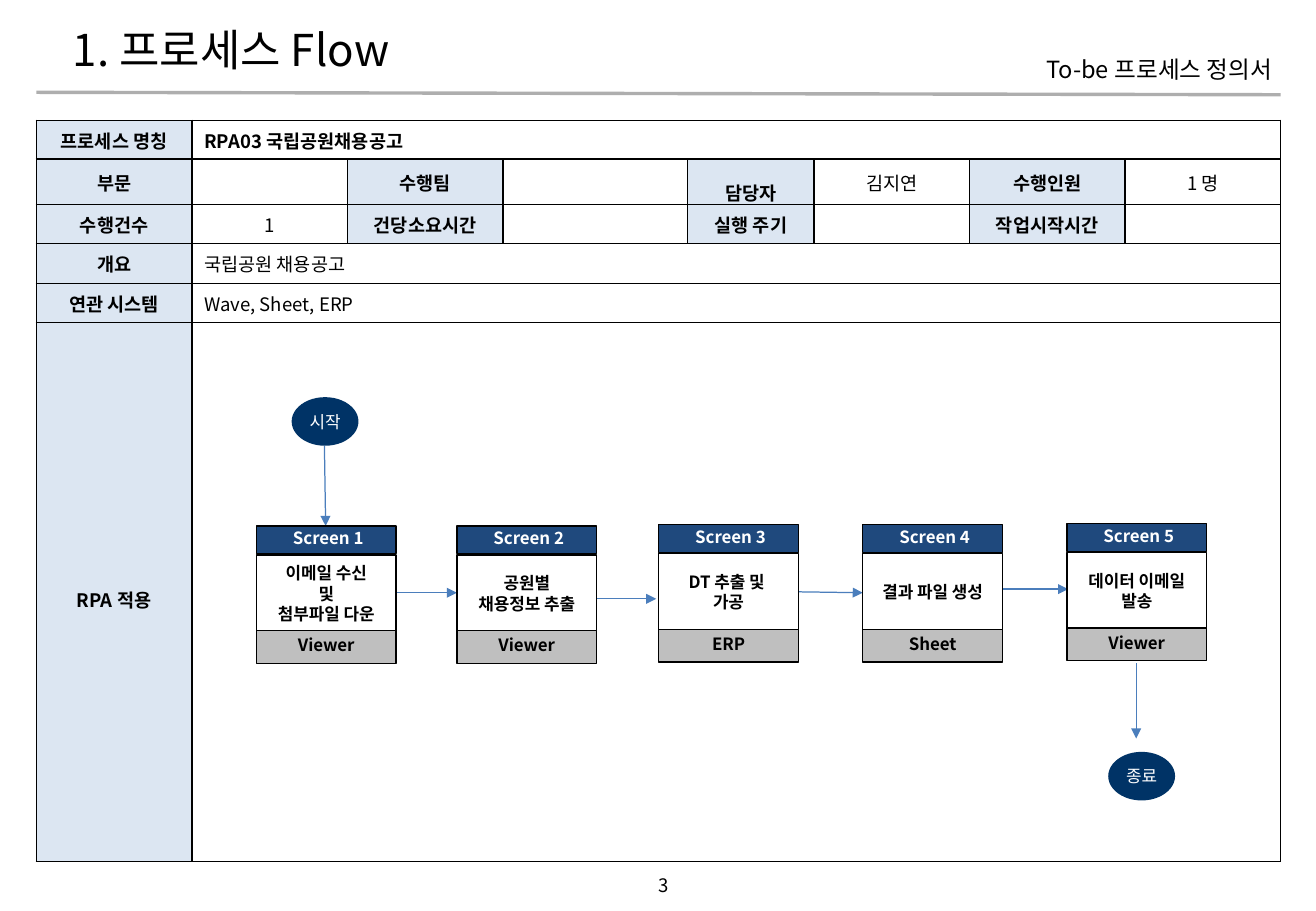
from dataclasses import dataclass

from lxml.etree import SubElement
from pptx import Presentation
from pptx.dml.color import RGBColor
from pptx.enum.shapes import MSO_CONNECTOR, MSO_SHAPE
from pptx.enum.text import MSO_ANCHOR, MSO_AUTO_SIZE, PP_ALIGN
from pptx.oxml.ns import qn
from pptx.util import Pt

PX = 9144  # EMU in one px, 100 px to the inch


@dataclass(frozen=True)
class Theme:
    font: str = "Noto Sans CJK KR"
    black: str = "000000"
    white: str = "FFFFFF"
    label: str = "DCE6F2"
    rule: str = "AEAEAE"
    arrow: str = "4B7EBC"
    header: str = "1F497D"
    system: str = "BFBFBF"
    terminal: str = "003366"
    title_size: int = 26
    subtitle_size: int = 14
    table_size: int = 11
    flow_size: int = 10


THEME = Theme()

COLUMNS = [128, 128, 128, 152, 104, 128, 128, 128]
ROWS = [32, 34, 32, 33, 32, 444]
# Even columns hold labels, odd columns hold values
CELLS = [
    ["프로세스 명칭", "RPA03 국립공원채용공고"],
    ["부문", "", "수행팀", "", "담당자", "김지연", "수행인원", "1 명"],
    ["수행건수", "1", "건당소요시간", "", "실행 주기", "", "작업시작시간", ""],
    ["개요", "국립공원 채용공고"],
    ["연관 시스템", "Wave, Sheet, ERP"],
    ["RPA 적용", ""],
]
LOOSE_LABELS = ("담당자", "RPA 적용")

# Left, top, task lines, system
SCREENS = [
    (211, 433, ["이메일 수신", "및", "첨부파일 다운"], "Viewer"),
    (376, 433, ["공원별", "채용정보 추출"], "Viewer"),
    (542, 432, ["DT 추출 및 ", "가공"], "ERP"),
    (710, 432, ["결과 파일 생성"], "Sheet"),
    (878, 431, ["데이터 이메일 발송"], "Viewer"),
]
TERMINALS = [(240, 327, "시작"), (912, 619, "종료")]
ARROWS = [
    (267, 367, 268, 433),
    (325, 488, 376, 488),
    (479, 493, 540, 493),
    (569, 486, 710, 488),
    (809, 485, 879, 485),
    (935, 546, 935, 608),
]


def px(*values):
    return [value * PX for value in values]


def apply(target, **values):
    for name, value in values.items():
        setattr(target, name, value)


def write(frame, lines, size, color=THEME.black, bold=False,
          align=PP_ALIGN.CENTER, spacing=None):
    for index, line in enumerate(lines):
        para = frame.paragraphs[0] if index == 0 else frame.add_paragraph()
        apply(para, alignment=align, line_spacing=spacing)
        span = para.add_run()
        span.text = line
        apply(span.font, size=Pt(size), bold=bold, name=THEME.font)
        span.font.color.rgb = RGBColor.from_string(color)
        SubElement(span.font._element, qn("a:ea"), typeface=THEME.font)


def set_insets(frame, across, down):
    apply(frame, margin_left=across * PX, margin_right=across * PX,
          margin_top=down * PX, margin_bottom=down * PX,
          vertical_anchor=MSO_ANCHOR.MIDDLE, word_wrap=True)


def paint(target, color):
    target.fill.solid()
    target.fill.fore_color.rgb = RGBColor.from_string(color)


def add_text(page, area, text, size, align):
    box = page.shapes.add_textbox(*px(*area))
    box.text_frame.word_wrap = True
    write(box.text_frame, [text], size, align=align)
    return box


def add_line(page, ends, color, width, arrow=False):
    line = page.shapes.add_connector(MSO_CONNECTOR.STRAIGHT, *px(*ends))
    line.line.color.rgb = RGBColor.from_string(color)
    line.line.width = Pt(width)
    if arrow:
        SubElement(line.line._get_or_add_ln(), qn("a:tailEnd"), type="triangle")
    SubElement(line._element.spPr, qn("a:effectLst"))


def add_block(parent, kind, area, fill, lines, outline=None, inset=(0, 0), **text):
    block = parent.shapes.add_shape(kind, *px(*area))
    block.shadow.inherit = False
    paint(block, fill)
    if outline:
        block.line.color.rgb = RGBColor.from_string(outline)
        block.line.width = Pt(0.75)
    else:
        block.line.fill.background()
    set_insets(block.text_frame, *inset)
    write(block.text_frame, lines, THEME.flow_size, **text)


def add_screen(page, number, left, top, task, system):
    group = page.shapes.add_group_shape()
    parts = [
        (24, 63, THEME.white, task, THEME.black, None),
        (86, 27, THEME.system, [system], THEME.black, 0.8),
        (0, 23, THEME.header, [f" Screen {number}"], THEME.white, 0.8),
    ]
    for offset, height, fill, lines, color, spacing in parts:
        add_block(group, MSO_SHAPE.RECTANGLE, (left, top + offset, 115, height),
                  fill, lines, outline=THEME.black, inset=(9, 4),
                  color=color, bold=True, spacing=spacing)


def add_borders(cell):
    properties = cell._tc.get_or_add_tcPr()
    for side in ("lnL", "lnR", "lnT", "lnB"):
        border = SubElement(properties, qn(f"a:{side}"), w=str(Pt(1)))
        fill = SubElement(border, qn("a:solidFill"))
        SubElement(fill, qn("a:srgbClr"), val=THEME.black)


def fill_cell(cell, text, is_label, is_wide, is_bold):
    cell.vertical_anchor = MSO_ANCHOR.MIDDLE
    paint(cell, THEME.label if is_label else THEME.white)
    if text:
        write(cell.text_frame, [text], THEME.table_size, bold=is_bold,
              align=PP_ALIGN.LEFT if is_wide else PP_ALIGN.CENTER,
              spacing=1.5 if text in LOOSE_LABELS else None)
    else:
        # An empty cell keeps the table's type size so its row stays low
        SubElement(cell.text_frame.paragraphs[0]._p, qn("a:endParaRPr"),
                   sz=str(THEME.table_size * 100))


def add_process_table(page):
    area = px(30, 99, sum(COLUMNS), sum(ROWS))
    table = page.shapes.add_table(len(ROWS), len(COLUMNS), *area).table
    apply(table, first_row=False, horz_banding=False)
    for column, width in zip(table.columns, COLUMNS):
        column.width = width * PX
    for row, height in zip(table.rows, ROWS):
        row.height = height * PX
    for r, texts in enumerate(CELLS):
        is_merged = len(texts) == 2
        for c in range(len(COLUMNS)):
            cell = table.cell(r, c)
            add_borders(cell)
            is_label = c == 0 or (not is_merged and c % 2 == 0)
            fill_cell(cell, texts[c] if c < len(texts) else "", is_label,
                      is_merged and c > 0, is_label or r == 0)
        if is_merged:
            table.cell(r, 1).merge(table.cell(r, len(COLUMNS) - 1))


def add_title(page, text):
    title = page.shapes.title
    left, top, width, height = px(50, 13, 736, 55)
    apply(title, left=left, top=top, width=width, height=height)
    set_insets(title.text_frame, 10, 5)
    title.text_frame.auto_size = MSO_AUTO_SIZE.NONE
    write(title.text_frame, [text], THEME.title_size, align=PP_ALIGN.LEFT)


def main():
    deck = Presentation()
    deck.slide_width, deck.slide_height = px(1083, 750)
    page = deck.slides.add_slide(deck.slide_layouts[5])

    # Heading and page number
    add_line(page, (30, 76, 1054, 78), THEME.rule, 2)
    add_text(page, (824, 40, 233, 34), "To-be 프로세스 정의서",
             THEME.subtitle_size, PP_ALIGN.RIGHT)
    add_title(page, "1. 프로세스 Flow")
    number = add_text(page, (519, 715, 54, 28), "3", THEME.table_size, PP_ALIGN.CENTER)
    set_insets(number.text_frame, 10, 4)

    # Process details
    add_process_table(page)

    # Flow: arrows lie behind the screens
    for ends in ARROWS:
        add_line(page, ends, THEME.arrow, 0.75, arrow=True)
    for left, top, text in TERMINALS:
        add_block(page, MSO_SHAPE.OVAL, (left, top, 55, 40), THEME.terminal,
                  [text], color=THEME.white)
    for number, screen in enumerate(SCREENS, 1):
        add_screen(page, number, *screen)

    deck.save("out.pptx")


if __name__ == "__main__":
    main()
